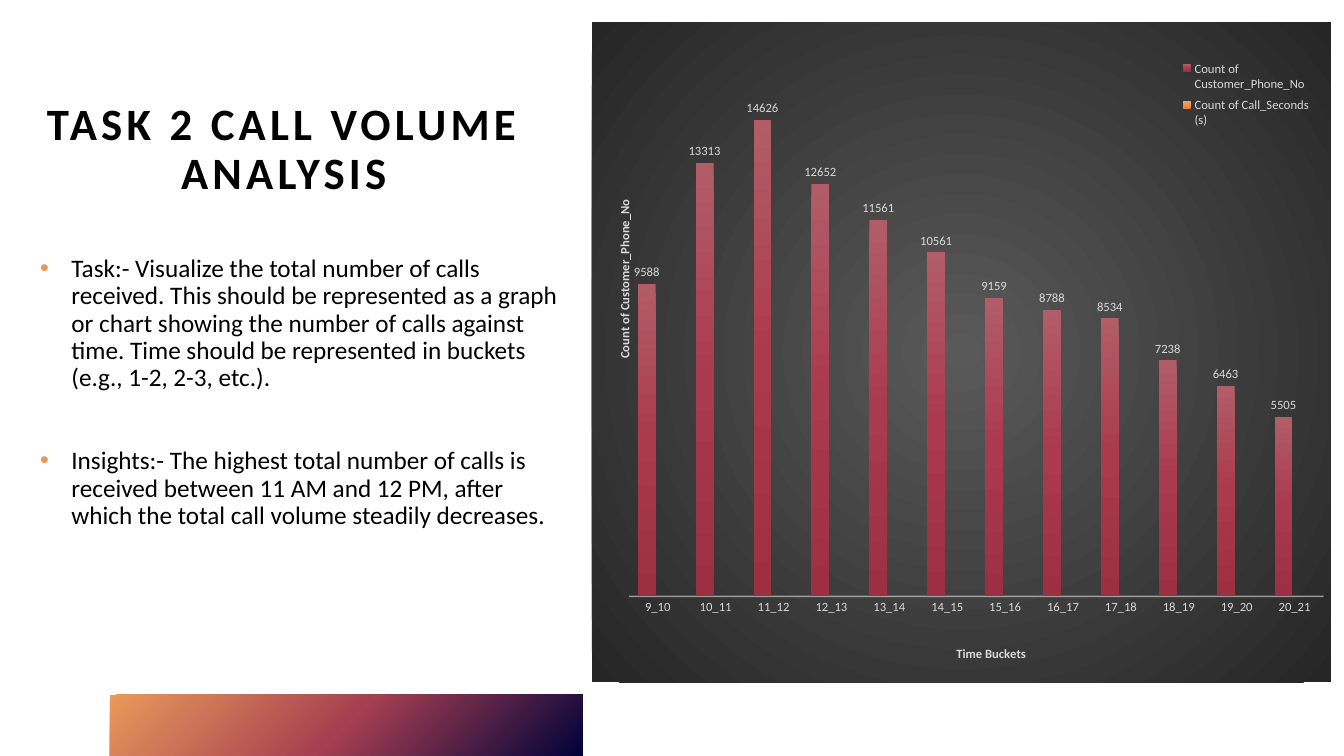
from dataclasses import dataclass
from lxml.etree import SubElement
from pptx import Presentation
from pptx.chart.data import CategoryChartData
from pptx.dml.color import RGBColor
from pptx.enum.chart import XL_CHART_TYPE, XL_LABEL_POSITION, XL_LEGEND_POSITION, XL_TICK_MARK
from pptx.enum.shapes import MSO_SHAPE
from pptx.enum.text import MSO_ANCHOR, PP_ALIGN
from pptx.oxml import parse_xml
from pptx.oxml.ns import nsdecls, qn
from pptx.util import Inches, Pt

W, H = Inches(13.33), Inches(7.5)


@dataclass(frozen=True)
class Theme:
    font: str = "Calibri"
    ink: str = "000000"
    bullet: str = "E89756"
    label: str = "D9D9D9"
    axis: str = "F2F2F2"
    band: tuple = ((0, "00023A"), (50, "A53F51"), (100, "E99A5B"))
    panel: tuple = ((0, "595959"), (100, "262626"))
    bars: tuple = (
        ((0, "B15D68"), (50, "AA3A4E"), (100, "9C2F42")),
        ((0, "ECA36E"), (50, "EF964F"), (100, "DD853D")),
    )
    title_size: int = 32
    body_size: int = 18
    chart_size: int = 10
    label_size: int = 9


T = Theme()

TITLE = "TASK 2 CALL VOLUME ANALYSIS"
POINTS = (
    "Task:- Visualize the total number of calls received. This should be represented as a graph "
    "or chart showing the number of calls against time. Time should be represented in buckets "
    "(e.g., 1-2, 2-3, etc.).",
    "Insights:- The highest total number of calls is received between 11 AM and 12 PM, after "
    "which the total call volume steadily decreases.",
)
BUCKETS = [f"{hour}_{hour + 1}" for hour in range(9, 21)]
CALLS = [9588, 13313, 14626, 12652, 11561, 10561, 9159, 8788, 8534, 7238, 6463, 5505]


def share(x, y, w, h):
    return [int(v * side / 100) for v, side in zip((x, y, w, h), (W, H, W, H))]


def apply(obj, **values):
    for name, value in values.items():
        setattr(obj, name, value)


def style(font, size, color, bold=False):
    apply(font, name=T.font, size=Pt(size), bold=bold)
    font.color.rgb = RGBColor.from_string(color)


def gradient(stops, direction):
    gs = "".join(
        f'<a:gs pos="{pos * 1000}"><a:srgbClr val="{color}"/></a:gs>' for pos, color in stops
    )
    return parse_xml(f'<a:gradFill {nsdecls("a")} rotWithShape="1"><a:gsLst>{gs}</a:gsLst>{direction}</a:gradFill>')


def circle(l, t, r, b):
    rect = f'<a:fillToRect l="{l}000" t="{t}000" r="{r}000" b="{b}000"/>'
    return f'<a:path path="circle">{rect}</a:path>'


def add_band(s, box):
    sp = s.shapes.add_shape(MSO_SHAPE.RECTANGLE, *box)
    sp.shadow.inherit = False
    sp._element.spPr.insert(2, gradient(T.band, circle(100, 100, 0, 0)))
    sp.line.fill.background()


def add_text(s, box, anchor):
    tf = s.shapes.add_textbox(*box).text_frame
    apply(tf, word_wrap=True, vertical_anchor=anchor)
    return tf


def add_title(s, box, text):
    p = add_text(s, box, MSO_ANCHOR.BOTTOM).paragraphs[0]
    apply(p, alignment=PP_ALIGN.CENTER, line_spacing=0.9)
    r = p.add_run()
    r.text = text
    style(r.font, T.title_size, T.ink, True)
    r._r.get_or_add_rPr().set("spc", "300")


def add_bullets(s, box, points):
    tf = add_text(s, box, MSO_ANCHOR.TOP)
    for i, point in enumerate(points):
        p = tf.add_paragraph() if i else tf.paragraphs[0]
        pPr = p._p.get_or_add_pPr()
        pPr.set("marL", str(Inches(0.31)))
        pPr.set("indent", str(-Inches(0.31)))
        SubElement(SubElement(pPr, qn("a:buClr")), qn("a:srgbClr")).set("val", T.bullet)
        SubElement(pPr, qn("a:buFont")).set("typeface", "Arial")
        SubElement(pPr, qn("a:buChar")).set("char", "•")
        p.line_spacing = 0.9
        if i:
            p.space_before = Pt(40)
        r = p.add_run()
        r.text = point
        style(r.font, T.body_size, T.ink)


def place(element, after, **values):
    for old in element.findall(qn("c:layout")):
        element.remove(old)
    modes = {"xMode": "edge", "yMode": "edge"}
    if after is None:
        modes = {"layoutTarget": "inner", **modes}
    items = "".join(f'<c:{name} val="{value}"/>' for name, value in {**modes, **values}.items())
    layout = parse_xml(f'<c:layout {nsdecls("c")}><c:manualLayout>{items}</c:manualLayout></c:layout>')
    if after is None:
        element.insert(0, layout)
    else:
        element.find(qn(after)).addnext(layout)


def title_axis(axis, text, x, y, rotation=0):
    axis.has_title = True
    tf = axis.axis_title.text_frame
    tf.text = text
    style(tf.paragraphs[0].runs[0].font, T.label_size, T.label, True)
    body = tf._txBody.find(qn("a:bodyPr"))
    body.set("rot", str(rotation * 60000))
    body.set("vert", "horz")
    place(axis.axis_title._element, "c:tx", x=x, y=y)


def format_axes(chart):
    cat, val = chart.category_axis, chart.value_axis
    apply(cat, major_tick_mark=XL_TICK_MARK.NONE, has_major_gridlines=False)
    style(cat.tick_labels.font, T.label_size, T.label)
    line = cat.format.line
    line.width = Pt(1)
    line.color.rgb = RGBColor.from_string(T.axis)
    color = next(line._ln.iter(qn("a:srgbClr")))
    SubElement(color, qn("a:alpha")).set("val", "54000")
    apply(val, has_major_gridlines=False, minimum_scale=0, maximum_scale=16000, visible=False)
    title_axis(cat, "Time Buckets", 0.49, 0.94)
    title_axis(val, "Count of Customer_Phone_No", 0.03, 0.265, -90)


def format_legend(chart):
    chart.has_legend = True
    legend = chart.legend
    apply(legend, position=XL_LEGEND_POSITION.RIGHT, include_in_layout=False)
    style(legend.font, T.label_size, T.label)
    place(legend._element, "c:legendPos", x=0.79, y=0.05, w=0.19, h=0.12)


def add_call_chart(s, box):
    data = CategoryChartData()
    data.categories = BUCKETS
    data.add_series("Count of Customer_Phone_No", CALLS)
    data.add_series("Count of Call_Seconds (s)", [0] * len(CALLS))
    chart = s.shapes.add_chart(XL_CHART_TYPE.COLUMN_CLUSTERED, *box, data).chart
    chart.has_title = False
    style(chart.font, T.chart_size, T.ink)
    space = chart._chartSpace
    panel = parse_xml(f'<c:spPr {nsdecls("c", "a")}/>')
    panel.append(gradient(T.panel, circle(50, 50, 50, 50)))
    SubElement(SubElement(panel, qn("a:ln")), qn("a:noFill"))
    space.chart.addnext(panel)
    place(space.chart.plotArea, None, x=0.05, y=0.08, w=0.94, h=0.79)
    plot = chart.plots[0]
    apply(plot, gap_width=100, overlap=-24, vary_by_categories=False)
    for series, stops in zip(plot.series, T.bars):
        series.invert_if_negative = False
        series._element.get_or_add_spPr().append(gradient(stops, '<a:lin ang="5400000" scaled="0"/>'))
    labels = plot.series[0].data_labels
    apply(labels, show_value=True, position=XL_LABEL_POSITION.OUTSIDE_END)
    style(labels.font, T.label_size, T.label)
    format_axes(chart)
    format_legend(chart)


def main():
    prs = Presentation()
    apply(prs, slide_width=W, slide_height=H)
    s = prs.slides.add_slide(prs.slide_layouts[6])
    add_band(s, share(8.18, 91.87, 35.18, 8.13))
    add_title(s, share(2.25, 3.87, 37.73, 23.07), TITLE)
    add_bullets(s, share(2.25, 33.2, 40.36, 56.93), POINTS)
    add_call_chart(s, share(44.04, 2.93, 54.99, 87.33))
    prs.save("out.pptx")


if __name__ == "__main__":
    main()
